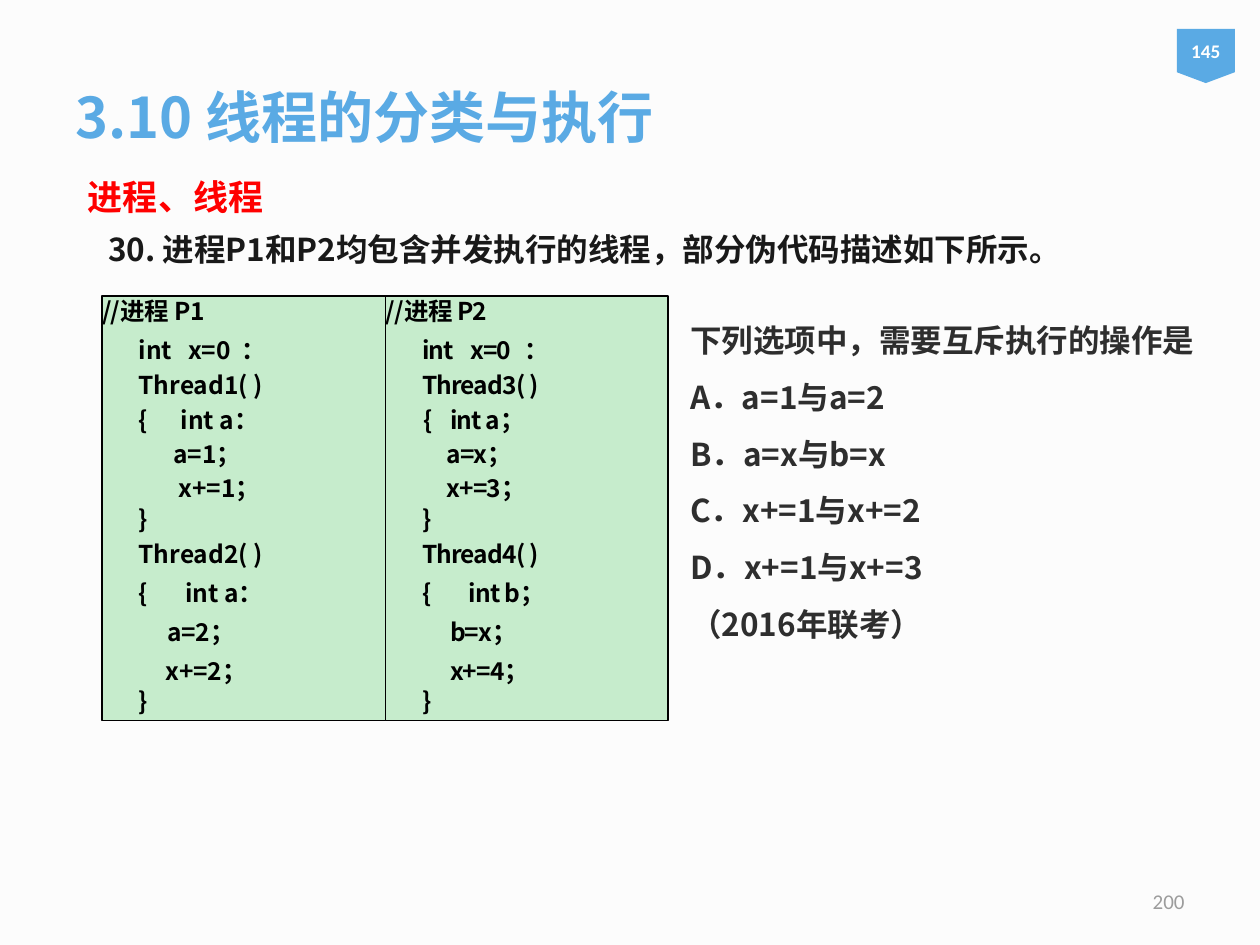
from dataclasses import dataclass
from typing import Optional

import pptx
import pptx.dml.color
import pptx.enum.shapes
import pptx.enum.text
import pptx.oxml.ns
import pptx.util
from lxml import etree

RGBColor = pptx.dml.color.RGBColor
Inches = pptx.util.Inches
Align = pptx.enum.text.PP_ALIGN
Anchor = pptx.enum.text.MSO_ANCHOR
Shape = pptx.enum.shapes.MSO_SHAPE
qn = pptx.oxml.ns.qn

PAPER = RGBColor(0xFC, 0xFC, 0xFC)
BLUE = RGBColor(0x5A, 0xAA, 0xE4)
RED = RGBColor(0xFF, 0x00, 0x00)
INK = RGBColor(0x19, 0x19, 0x19)
CHARCOAL = RGBColor(0x2E, 0x2E, 0x2E)
GREY = RGBColor(0x9C, 0x9C, 0x9C)
BLACK = RGBColor(0x00, 0x00, 0x00)
WHITE = RGBColor(0xFF, 0xFF, 0xFF)
GREEN = RGBColor(0xC6, 0xEC, 0xCC)
CJK = "Noto Sans CJK SC"
LATIN = "Calibri"


@dataclass(frozen=True)
class Layout:
    left: float = 0
    hanging: float = 0
    right: float = 0
    spacing: Optional[float] = None
    before: float = 0
    tab: Optional[float] = None


@dataclass(frozen=True)
class CodeLine:
    layout: Layout
    text: str
    lead: str = ""
    lead_tracking: float = 0
    tracking: float = 0


@dataclass(frozen=True)
class CodePanel:
    left: float
    width: float
    tracking: float
    lines: tuple[CodeLine, ...]


PLAIN = Layout()
LOOSE = Layout(spacing=1.5)
DECLARE = Layout(0.29, right=0.95, spacing=1.2, before=2.1)
BRACE = Layout(0.29, before=0.7)
THREAD = Layout(0.29, before=3.5)
BODY_P1 = Layout(0.58, 0.29, spacing=1.15, before=0.3, tab=0.58)
BODY_P2 = Layout(0.66, 0.36, spacing=1.15, before=0.3, tab=0.51)
BODY_LOWER = Layout(0.66, 0.37, spacing=1.15, before=2.8, tab=0.58)

PANELS = (
    CodePanel(3.06, 2.24, -0.5, (
        CodeLine(PLAIN, "进程 P2", lead="//"),
        CodeLine(DECLARE, "int x=0： Thread3( )"),
        CodeLine(BODY_P2, "{    int a；"),
        CodeLine(BODY_P2, "     a=x；"),
        CodeLine(BODY_P2, "     x+=3；"),
        CodeLine(BRACE, "}"),
        CodeLine(THREAD, "Thread4( )"),
        CodeLine(BODY_LOWER, "{\tint b；"),
        CodeLine(BODY_LOWER, "      b=x；"),
        CodeLine(BODY_LOWER, "      x+=4；"),
        CodeLine(BRACE, "}"),
    )),
    CodePanel(0.81, 2.25, 0, (
        CodeLine(PLAIN, "P1", lead="//进程 ", lead_tracking=-0.3),
        CodeLine(DECLARE, "int x=0： Thread1( )"),
        CodeLine(BODY_P1, "{\t int a："),
        CodeLine(BODY_P1, "a=1；", lead="      ", lead_tracking=0.1),
        CodeLine(BODY_P1, "x+=1；", lead="   ", lead_tracking=4.4),
        CodeLine(BRACE, "}"),
        CodeLine(THREAD, "Thread2( )"),
        CodeLine(BODY_LOWER, "{\tint a："),
        CodeLine(BODY_LOWER, "a=2；", lead="     ", lead_tracking=0.1, tracking=-0.1),
        CodeLine(BODY_LOWER, "     x+=2；", tracking=-0.1),
        CodeLine(BRACE, "}"),
    )),
)

QUESTION = (
    "下列选项中，需要互斥执行的操作是",
    "A．a=1与a=2",
    "B．a=x与b=x",
    "C．x+=1与x+=2",
    "D．x+=1与x+=3",
    "（2016年联考）",
)


def add_span(para, text: str, *, size: float, color: RGBColor, bold: bool = True,
             face: str = CJK, tracking: float = 0) -> None:
    span = para.add_run()
    span.text = text
    span.font.size = pptx.util.Pt(size)
    span.font.bold = bold
    span.font.color.rgb = color
    span.font.name = face
    properties = span.font._element
    etree.SubElement(properties, qn("a:ea")).set("typeface", face)
    properties.set("spc", str(round(tracking * 100)))


def format_paragraph(para, layout: Layout, align: Align) -> None:
    para.alignment = align
    if layout.spacing:
        para.line_spacing = layout.spacing
    if layout.before:
        para.space_before = pptx.util.Pt(layout.before)
    properties = para._p.get_or_add_pPr()
    properties.set("marL", str(Inches(layout.left)))
    properties.set("marR", str(Inches(layout.right)))
    properties.set("indent", str(Inches(-layout.hanging)))
    if layout.tab:
        tabs = etree.SubElement(properties, qn("a:tabLst"))
        etree.SubElement(tabs, qn("a:tab"), pos=str(Inches(layout.tab)), algn="l")


def next_paragraph(frame, index: int):
    return frame.add_paragraph() if index else frame.paragraphs[0]


def add_text(page, left: float, top: float, width: float, height: float, *lines: str,
             layout: Layout = PLAIN, align: Align = Align.LEFT,
             anchor: Anchor = Anchor.TOP, **style) -> None:
    box = page.shapes.add_textbox(Inches(left), Inches(top), Inches(width), Inches(height))
    frame = box.text_frame
    frame.word_wrap = True
    frame.vertical_anchor = anchor
    for index, line in enumerate(lines):
        para = next_paragraph(frame, index)
        format_paragraph(para, layout, align)
        add_span(para, line, **style)


def add_filled(page, kind: Shape, left: float, top: float, width: float, height: float,
               fill: RGBColor):
    shape = page.shapes.add_shape(kind, Inches(left), Inches(top), Inches(width), Inches(height))
    shape.shadow.inherit = False
    shape.fill.solid()
    shape.fill.fore_color.rgb = fill
    shape.line.fill.background()
    return shape


def add_code_panel(page, panel: CodePanel) -> None:
    shape = add_filled(page, Shape.RECTANGLE, panel.left, 2.35, panel.width, 3.37, GREEN)
    shape.line.color.rgb = BLACK
    shape.line.width = pptx.util.Pt(0.96)
    frame = shape.text_frame
    frame.word_wrap = True
    frame.vertical_anchor = Anchor.TOP
    frame.margin_left = frame.margin_top = frame.margin_right = frame.margin_bottom = 0
    for index, line in enumerate(panel.lines):
        para = next_paragraph(frame, index)
        format_paragraph(para, line.layout, Align.JUSTIFY)
        if line.lead:
            add_span(para, line.lead, size=14, color=BLACK, tracking=line.lead_tracking)
        add_span(para, line.text, size=14, color=BLACK, tracking=line.tracking + panel.tracking)


def add_badge(page) -> None:
    badge = add_filled(page, Shape.FLOWCHART_OFFPAGE_CONNECTOR, 9.34, 0.23, 0.46, 0.43, BLUE)
    badge.text_frame.vertical_anchor = Anchor.MIDDLE
    para = badge.text_frame.paragraphs[0]
    para.alignment = Align.CENTER
    add_span(para, "145", size=11, color=WHITE, face=LATIN)


def main() -> None:
    deck = pptx.Presentation()
    deck.slide_width, deck.slide_height = Inches(10), Inches(7.5)
    page = deck.slides.add_slide(deck.slide_layouts[6])
    page.background.fill.solid()
    page.background.fill.fore_color.rgb = PAPER
    add_text(page, 0.5, 0.3, 9, 1.25, "3.10 线程的分类与执行",
             anchor=Anchor.MIDDLE, size=32, color=BLUE)
    add_text(page, 0.6, 1.18, 8.74, 0.75, "进程、线程", layout=LOOSE, size=20, color=RED)
    add_badge(page)
    add_text(page, 0.76, 1.78, 8.47, 0.71,
             "30. 进程P1和P2均包含并发执行的线程，部分伪代码描述如下所示。", size=18, color=INK)
    add_text(page, 5.38, 2.35, 4.5, 2.77, *QUESTION, layout=LOOSE, size=18, color=CHARCOAL)
    for panel in PANELS:
        add_code_panel(page, panel)
    add_text(page, 7.17, 6.95, 2.33, 0.4, "200", align=Align.RIGHT, anchor=Anchor.MIDDLE,
             size=12, color=GREY, bold=False, face=LATIN)
    deck.save("out.pptx")


if __name__ == "__main__":
    main()
